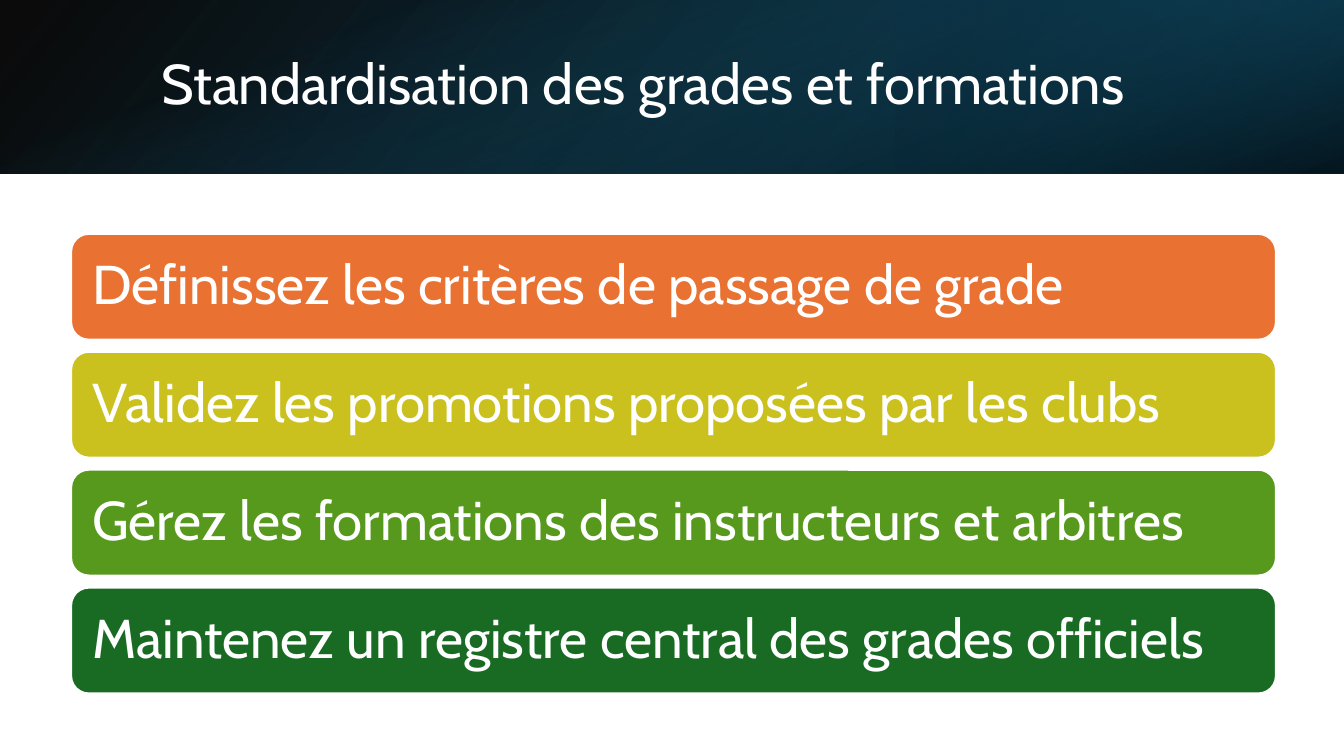
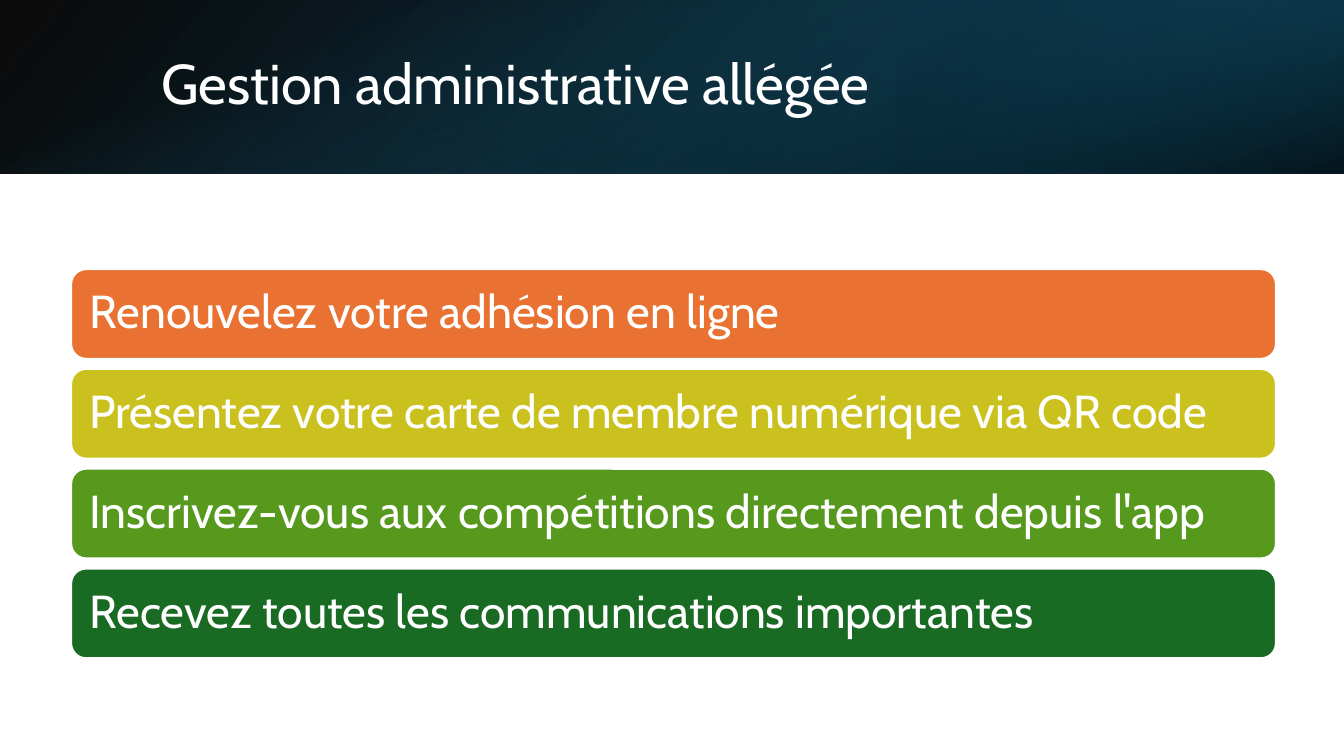
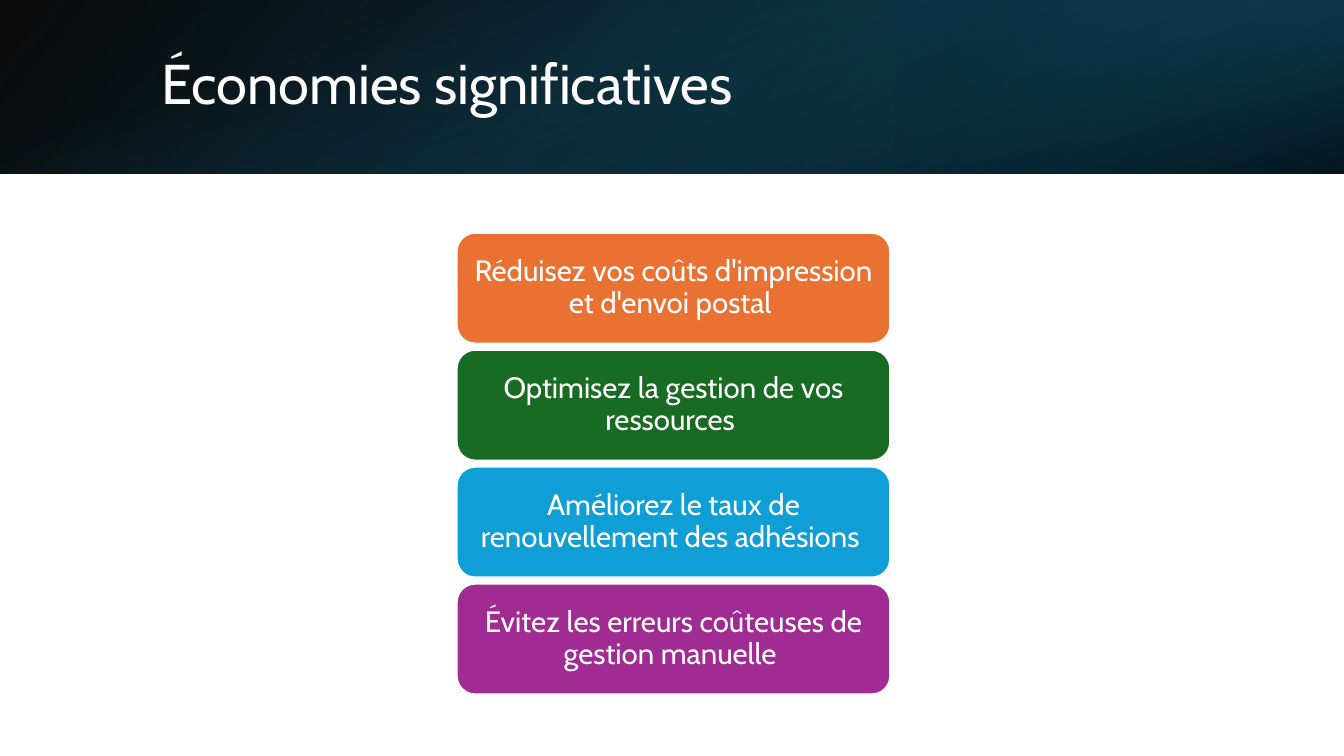
from dataclasses import dataclass

from pptx import Presentation, oxml
from pptx.dml.color import RGBColor
from pptx.enum import shapes, text
from pptx.oxml.ns import nsdecls, qn
from pptx.util import Inches, Pt


@dataclass(frozen=True)
class Theme:
    font: str = "Cabin"
    white: str = "FFFFFF"
    black: str = "000000"
    navy: str = "104862"
    deep_teal: str = "0B3041"
    teal: str = "156082"
    orange: str = "E97132"
    olive: str = "CBC11E"
    lime: str = "56991D"
    green: str = "196B24"
    blue: str = "0F9ED5"
    purple: str = "A02B93"
    title_size: int = 40
    line_spacing: float = 0.9
    outline: float = 1.5


@dataclass(frozen=True)
class CardStyle:
    """Size, gap and insets in inches, text size in points."""
    width: float
    height: float
    gap: float
    size: int
    insets: tuple
    colors: tuple
    alignment: text.PP_ALIGN = text.PP_ALIGN.LEFT


THEME = Theme()
WIDTH, HEIGHT = 13.33, 7.5
BAND_HEIGHT = 1.72
STACK_CENTER = (6.68, 4.6)

RAMP = (THEME.orange, THEME.olive, THEME.lime, THEME.green)
MIXED = (THEME.orange, THEME.green, THEME.blue, THEME.purple)
LARGE = CardStyle(11.95, 1.05, 0.12, 39, (0.16, 0.16), RAMP)
MEDIUM = CardStyle(11.95, 0.89, 0.1, 33, (0.14, 0.14), RAMP)
NARROW = CardStyle(4.3, 1.1, 0.06, 21, (0.09, 0.04), MIXED, text.PP_ALIGN.CENTER)

SLIDES = (
    ("Standardisation des grades et formations", LARGE, (
        "Définissez les critères de passage de grade",
        "Validez les promotions proposées par les clubs",
        "Gérez les formations des instructeurs et arbitres",
        "Maintenez un registre central des grades officiels")),
    ("Gestion administrative allégée", MEDIUM, (
        "Renouvelez votre adhésion en ligne",
        "Présentez votre carte de membre numérique via QR code",
        "Inscrivez-vous aux compétitions directement depuis l'app",
        "Recevez toutes les communications importantes")),
    ("Économies significatives", NARROW, (
        "Réduisez vos coûts d'impression et d'envoi postal ",
        "Optimisez la gestion de vos ressources ",
        "Améliorez le taux de renouvellement des adhésions ",
        "Évitez les erreurs coûteuses de gestion manuelle ")),
)


def add_box(slide, kind, left, top, width, height):
    shape = slide.shapes.add_shape(
        kind, *(Inches(length) for length in (left, top, width, height)))
    shape.shadow.inherit = False
    return shape


def fill_gradient(shape, stops, angle):
    """Fill with (position %, colour, opacity %) stops; angle runs clockwise."""
    stop_xml = "".join(
        f'<a:gs pos="{position * 1000}"><a:srgbClr val="{color}">'
        f'<a:alpha val="{opacity * 1000}"/></a:srgbClr></a:gs>'
        for position, color, opacity in stops)
    gradient = oxml.parse_xml(
        f'<a:gradFill {nsdecls("a")} rotWithShape="1"><a:gsLst>{stop_xml}</a:gsLst>'
        f'<a:lin ang="{angle * 60000}" scaled="0"/></a:gradFill>')
    shape.fill.background()
    properties = shape.element.spPr
    properties.replace(properties.find(qn("a:noFill")), gradient)


def add_band(slide, box, stops, angle, rotation=0, flipped=False):
    band = add_box(slide, shapes.MSO_SHAPE.RECTANGLE, *box)
    band.line.fill.background()
    band.rotation = rotation
    if flipped:
        band.element.spPr.xfrm.set("flipH", "1")
    fill_gradient(band, stops, angle)


def add_header(slide):
    """Layer three translucent gradients into the band behind the title."""
    add_band(slide, (0, 0, WIDTH, BAND_HEIGHT),
             ((0, THEME.black, 96), (100, THEME.navy, 100)), 140, flipped=True)
    add_band(slide, (WIDTH * 2 / 3, 0, WIDTH / 3, BAND_HEIGHT),
             ((19, THEME.deep_teal, 68), (100, THEME.teal, 79)), 320, 180, True)
    offset = (WIDTH - BAND_HEIGHT) / 2
    add_band(slide, (offset, -offset, BAND_HEIGHT, WIDTH),
             ((23, THEME.teal, 0), (99, THEME.black, 74)), 340, 90)


def write(shape, words, size, alignment):
    frame = shape.text_frame
    frame.text = words
    frame.word_wrap = True
    frame.auto_size = text.MSO_AUTO_SIZE.NONE
    frame.vertical_anchor = text.MSO_ANCHOR.MIDDLE
    paragraph = frame.paragraphs[0]
    paragraph.alignment = alignment
    paragraph.line_spacing = THEME.line_spacing
    font = paragraph.runs[0].font
    font.name = THEME.font
    font.size = Pt(size)
    font.color.rgb = RGBColor.from_string(THEME.white)


def add_title(slide, words):
    title = slide.shapes.title
    write(title, words, THEME.title_size, text.PP_ALIGN.LEFT)
    slide.shapes.element.append(title.element)  # in front of the header


def add_card(slide, words, color, style, left, top):
    card = add_box(slide, shapes.MSO_SHAPE.ROUNDED_RECTANGLE,
                   left, top, style.width, style.height)
    card.fill.solid()
    card.fill.fore_color.rgb = RGBColor.from_string(color)
    card.line.color.rgb = RGBColor.from_string(THEME.white)
    card.line.width = Pt(THEME.outline)
    write(card, words, style.size, style.alignment)
    frame = card.text_frame
    side, end = (Inches(inset) for inset in style.insets)
    frame.margin_left = frame.margin_right = side
    frame.margin_top = frame.margin_bottom = end


def add_card_stack(slide, items, style):
    pitch = style.height + style.gap
    center_x, center_y = STACK_CENTER
    left = center_x - style.width / 2
    top = center_y - (len(items) * pitch - style.gap) / 2
    for row, (words, color) in enumerate(zip(items, style.colors)):
        add_card(slide, words, color, style, left, top + row * pitch)


def place_layout_title(layout):
    title = layout.placeholders[0]
    title.left, title.top = Inches(1.5), Inches(0.38)
    title.width, title.height = Inches(10.98), Inches(0.96)


def main():
    presentation = Presentation()
    presentation.slide_width = Inches(WIDTH)
    presentation.slide_height = Inches(HEIGHT)
    layout = presentation.slide_layouts.get_by_name("Title Only")
    place_layout_title(layout)
    for title, style, items in SLIDES:
        slide = presentation.slides.add_slide(layout)
        add_header(slide)
        add_title(slide, title)
        add_card_stack(slide, items, style)
    presentation.save("out.pptx")


if __name__ == "__main__":
    main()
